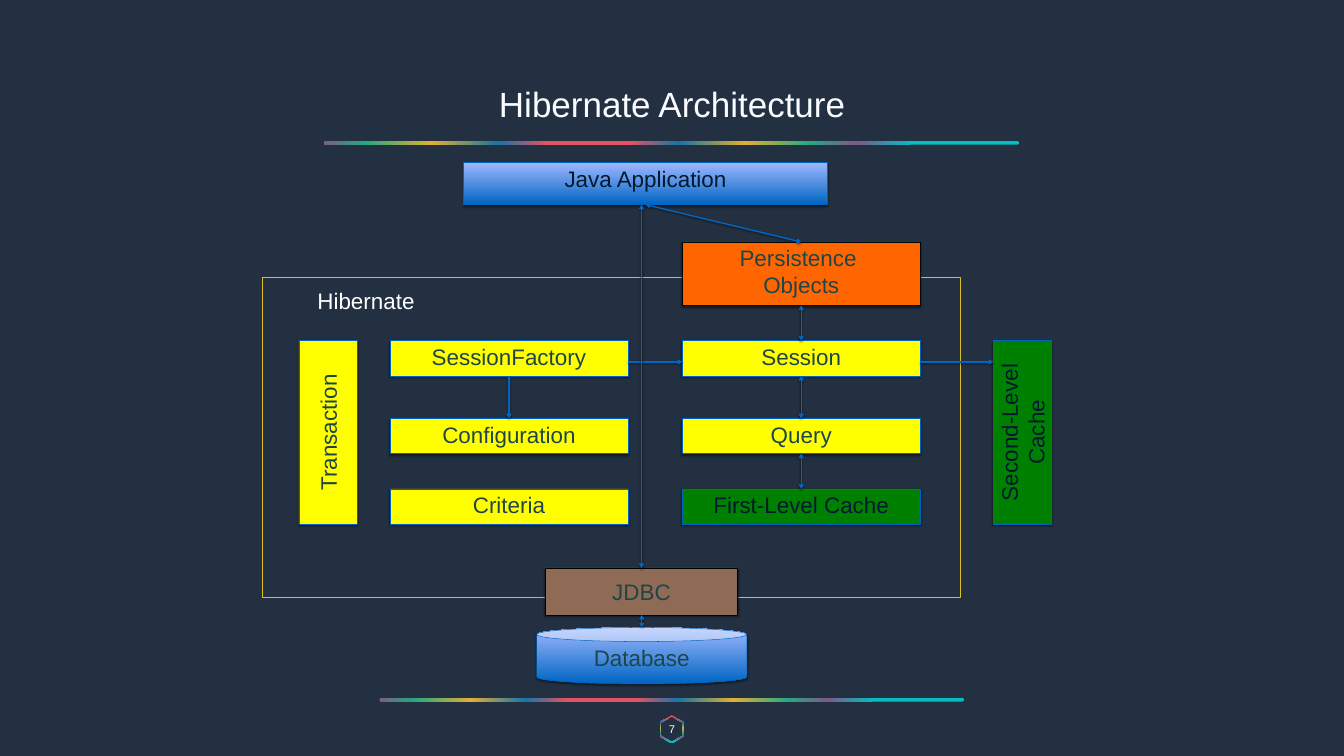
from lxml.etree import SubElement
from pptx import Presentation
from pptx.dml.color import RGBColor
from pptx.enum.shapes import MSO_CONNECTOR, MSO_SHAPE
from pptx.enum.text import MSO_ANCHOR, MSO_AUTO_SIZE, PP_ALIGN
from pptx.oxml.ns import qn
from pptx.util import Inches, Pt

# Theme: colours, type sizes and line widths
THEME = {
    "font": "Arial", "title_size": 50, "box_size": 32, "number_size": 16,
    "background": "223041", "light": "F9FBFF", "white": "FFFFFF",
    "text": "1E4649", "dark": "011930", "frame": "DCBD23",
    "border": "0063BF", "black": "000000", "arrow": "0365C0",
    "yellow": "FFFF00", "green": "008000", "orange": "FF6600", "brown": "8F6A54",
    "blue": [(0, "0065C3"), (100, "A0B8FF")],
    "rainbow": [(12, "E35364"), (26, "1775A8"), (45, "E2AF32"),
                (64, "25A982"), (77, "7E5887"), (93, "04BEC2")],
    "thin": 0.75, "arrow_width": 2,
}
TOP, MIDDLE = MSO_ANCHOR.TOP, MSO_ANCHOR.MIDDLE

# Content
TITLE = "Hibernate Architecture"
FRAME_LABEL = "Hibernate"
PAGE_NUMBER = "7"

LEFT_COLUMN, RIGHT_COLUMN, COLUMN_WIDTH = 7.74, 13.54, 4.72
ROWS, ROW_HEIGHT = (6.76, 8.3, 9.7), 0.7
SIDE_WIDTH = 1.15
SIDE_HEIGHT = ROWS[-1] + ROW_HEIGHT - ROWS[0]
FRAME = (5.21, 5.5, 13.84, 6.35)
BARS = [(6.43, 2.8, 13.8, 0.07), (7.54, 13.85, 11.59, 0.07)]


def cell(column, row):
    return column, ROWS[row], COLUMN_WIDTH, ROW_HEIGHT


# Name: (place, fill, extra formats)
BOXES = {
    "Database": ((10.65, 12.45, 4.17, 1.12), "blue", {"kind": MSO_SHAPE.CAN}),
    "Java Application": ((9.2, 3.22, 7.22, 0.84), "blue", {"color": "dark"}),
    "Transaction": ((5.93, ROWS[0], SIDE_WIDTH, SIDE_HEIGHT), "yellow",
                    {"anchor": MIDDLE, "upright": True}),
    "SessionFactory": (cell(LEFT_COLUMN, 0), "yellow", {}),
    "Configuration": (cell(LEFT_COLUMN, 1), "yellow", {}),
    "Criteria": (cell(LEFT_COLUMN, 2), "yellow", {}),
    "Session": (cell(RIGHT_COLUMN, 0), "yellow", {}),
    "Query": (cell(RIGHT_COLUMN, 1), "yellow", {}),
    "First-Level Cache": (cell(RIGHT_COLUMN, 2), "green", {"color": "dark"}),
    "Second-Level\nCache": ((19.71, ROWS[0], SIDE_WIDTH, SIDE_HEIGHT), "green",
                            {"anchor": MIDDLE, "upright": True, "color": "dark"}),
    "Persistence \nObjects": ((RIGHT_COLUMN, 4.8, COLUMN_WIDTH, 1.26), "orange",
                              {"border": "black"}),
    "JDBC": ((10.82, 11.27, 3.82, 0.93), "brown", {"anchor": MIDDLE, "border": "black"}),
}
# Downward links: (source, target, two-headed); sideways links: (source, target)
DOWN_LINKS = [
    ("SessionFactory", "Configuration", False),
    ("Persistence \nObjects", "Session", True),
    ("Session", "Query", True),
    ("Query", "First-Level Cache", True),
    ("JDBC", "Database", True),
    ("Java Application", "JDBC", True),
]
SIDE_LINKS = [("SessionFactory", "Session"), ("Session", "Second-Level\nCache")]
SIDE_LINK_DROP = 0.42


def rgb(name):
    return RGBColor.from_string(THEME[name])


def inches(values):
    return [Inches(value) for value in values]


def paint_gradient(shape, stops, angle=None):
    """Linear gradient at an angle, or a circular one when no angle is given."""
    shape.fill.gradient()
    gradient = shape._element.spPr.find(qn("a:gradFill"))
    gradient.clear()
    stop_list = SubElement(gradient, qn("a:gsLst"))
    for position, color in stops:
        stop = SubElement(stop_list, qn("a:gs"), pos=str(position * 1000))
        SubElement(stop, qn("a:srgbClr"), val=color)
    if angle is None:
        circle = SubElement(gradient, qn("a:path"), path="circle")
        SubElement(circle, qn("a:fillToRect"), l="38000", t="-20000", r="62000", b="120000")
    else:
        SubElement(gradient, qn("a:lin"), ang=str(angle * 60000), scaled="0")


def add_shadow(shape):
    properties = shape._element.spPr
    effects = properties.find(qn("a:effectLst"))
    if effects is None:
        effects = SubElement(properties, qn("a:effectLst"))
    shadow = SubElement(effects, qn("a:outerShdw"), blurRad=str(Pt(3)), dist=str(Pt(2)),
                        dir="5400000", rotWithShape="0")
    color = SubElement(shadow, qn("a:srgbClr"), val=THEME["black"])
    SubElement(color, qn("a:alpha"), val="50000")


def write(shape, text, size, color, align=PP_ALIGN.CENTER, inset=None, **formats):
    frame = shape.text_frame
    frame.text = text
    if inset is not None:
        formats.update({f"margin_{side}": Inches(inset)
                        for side in ("left", "top", "right", "bottom")})
    for key, value in formats.items():
        setattr(frame, key, value)
    for paragraph in frame.paragraphs:
        paragraph.alignment = align
        font = paragraph.runs[0].font
        for key, value in {"name": THEME["font"], "size": Pt(THEME[size])}.items():
            setattr(font, key, value)
        font.color.rgb = rgb(color)


def add_plain(shapes, kind, place):
    shape = shapes.add_shape(kind, *inches(place))
    shape.shadow.inherit = False
    return shape


def set_line(shape, color, width):
    shape.line.color.rgb = rgb(color)
    shape.line.width = Pt(THEME[width])


def add_box(shapes, name, place, fill, kind=MSO_SHAPE.RECTANGLE, color="text",
            anchor=TOP, border="border", upright=False):
    box = add_plain(shapes, kind, place)
    if fill == "blue":
        paint_gradient(box, THEME[fill], 270)
    else:
        box.fill.solid()
        box.fill.fore_color.rgb = rgb(fill)
    set_line(box, border, "thin")
    add_shadow(box)
    write(box, name, "box_size", color, vertical_anchor=anchor, word_wrap=True)
    if upright:
        box.text_frame._txBody.bodyPr.set("vert", "vert270")


def add_arrow(shapes, start, end, two_headed=False):
    arrow = shapes.add_connector(MSO_CONNECTOR.STRAIGHT, *inches(start + end))
    set_line(arrow, "arrow", "arrow_width")
    for tag in (["a:headEnd"] if two_headed else []) + ["a:tailEnd"]:
        SubElement(arrow.line._get_or_add_ln(), qn(tag), type="arrow")
    add_shadow(arrow)


def hexagon(center_x, center_y, half_width, half_height):
    corners = [(0, -1), (-1, -0.5), (-1, 0.5), (0, 1), (1, 0.5), (1, -0.5)]
    return [(Inches(center_x + x * half_width), Inches(center_y + y * half_height))
            for x, y in corners]


def bottom_center(name):
    left, top, width, height = BOXES[name][0]
    return left + width / 2, top + height


def top_center(name):
    left, top, width, _ = BOXES[name][0]
    return left + width / 2, top


def main():
    deck = Presentation()
    deck.slide_width, deck.slide_height = Inches(26.67), Inches(15)
    slide = deck.slides.add_slide(deck.slide_layouts[5])
    slide.background.fill.solid()
    slide.background.fill.fore_color.rgb = rgb("background")
    shapes = slide.shapes

    # Page number in its hexagon ring
    outer, inner = hexagon(13.33, 14.47, 0.24, 0.28), hexagon(13.33, 14.47, 0.22, 0.25)
    builder = shapes.build_freeform(*outer[0], scale=1.0)
    builder.add_line_segments(outer[1:], close=True)
    builder.move_to(*inner[0])
    builder.add_line_segments(inner[1:], close=True)
    ring = builder.convert_to_shape()
    ring.shadow.inherit = False
    paint_gradient(ring, THEME["rainbow"], 90)
    ring.line.fill.background()
    number = shapes.add_textbox(*inches((13.21, 14.28, 0.25, 0.38)))
    write(number, PAGE_NUMBER, "number_size", "light", inset=0.06, word_wrap=False)

    # Rainbow bars
    for place in BARS:
        bar = add_plain(shapes, MSO_SHAPE.ROUNDED_RECTANGLE, place)
        bar.adjustments[0] = 0.5
        paint_gradient(bar, THEME["rainbow"])
        bar.line.fill.background()

    # Title
    title = shapes.title
    title.left, title.top, title.width, title.height = inches((0.08, 1.58, 26.52, 0.95))
    write(title, TITLE, "title_size", "light", inset=0.06, word_wrap=True,
          vertical_anchor=MIDDLE, auto_size=MSO_AUTO_SIZE.NONE)

    # Hibernate frame, boxes and label
    frame = add_plain(shapes, MSO_SHAPE.RECTANGLE, FRAME)
    frame.fill.background()
    set_line(frame, "frame", "thin")
    for name, (place, fill, formats) in BOXES.items():
        add_box(shapes, name, place, fill, **formats)
    label = shapes.add_textbox(*inches((6.2, 5.64, 2.17, 0.64)))
    write(label, FRAME_LABEL, "box_size", "white", PP_ALIGN.LEFT, word_wrap=False)

    # Arrows
    for source, target in SIDE_LINKS:
        left, top, width, _ = BOXES[source][0]
        y = top + SIDE_LINK_DROP
        add_arrow(shapes, (left + width, y), (BOXES[target][0][0], y))
    add_arrow(shapes, bottom_center("Java Application"),
              top_center("Persistence \nObjects"), True)
    for source, target, two_headed in DOWN_LINKS:
        x, y = top_center(target)
        add_arrow(shapes, (x, bottom_center(source)[1]), (x, y), two_headed)

    deck.save("out.pptx")


if __name__ == "__main__":
    main()
